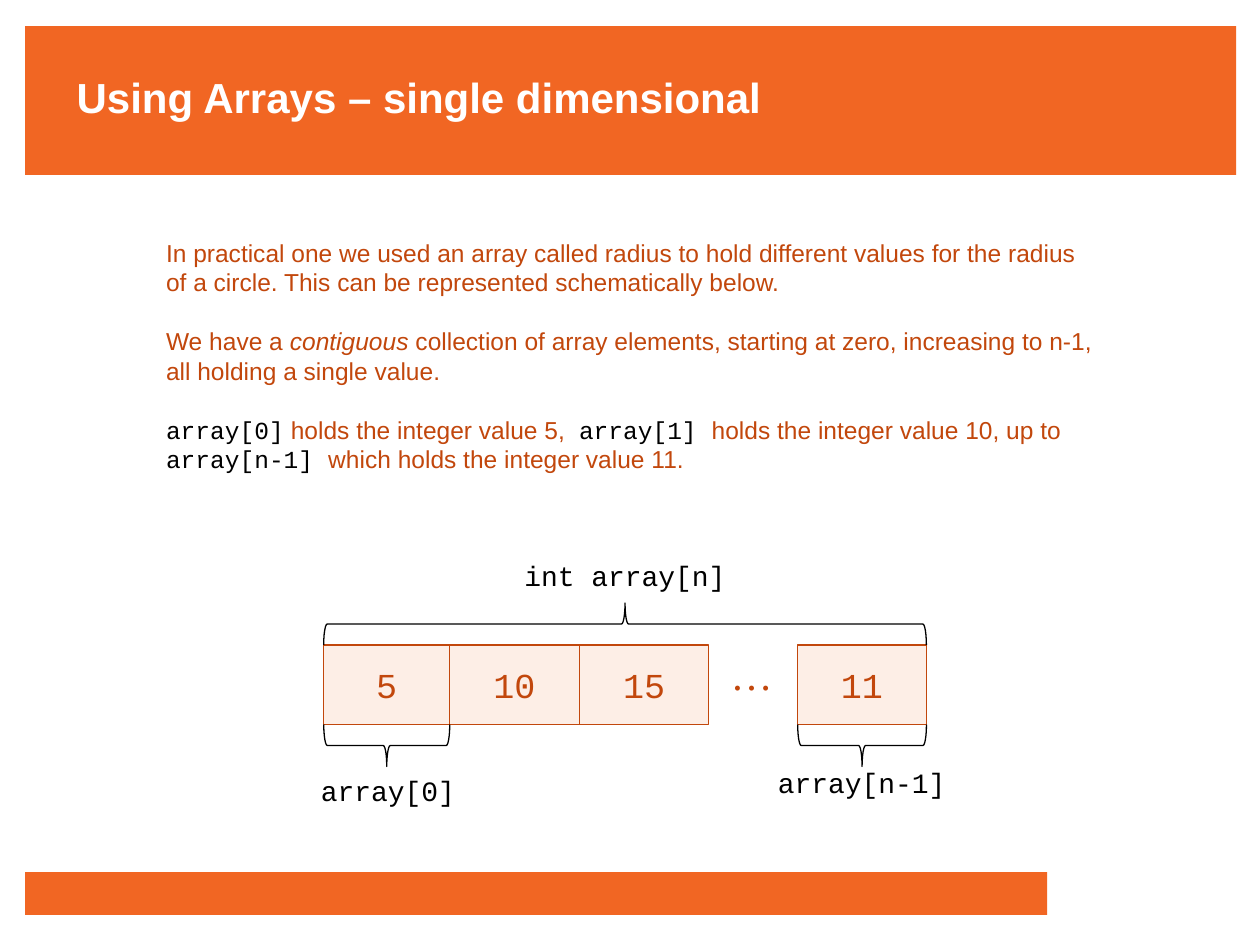
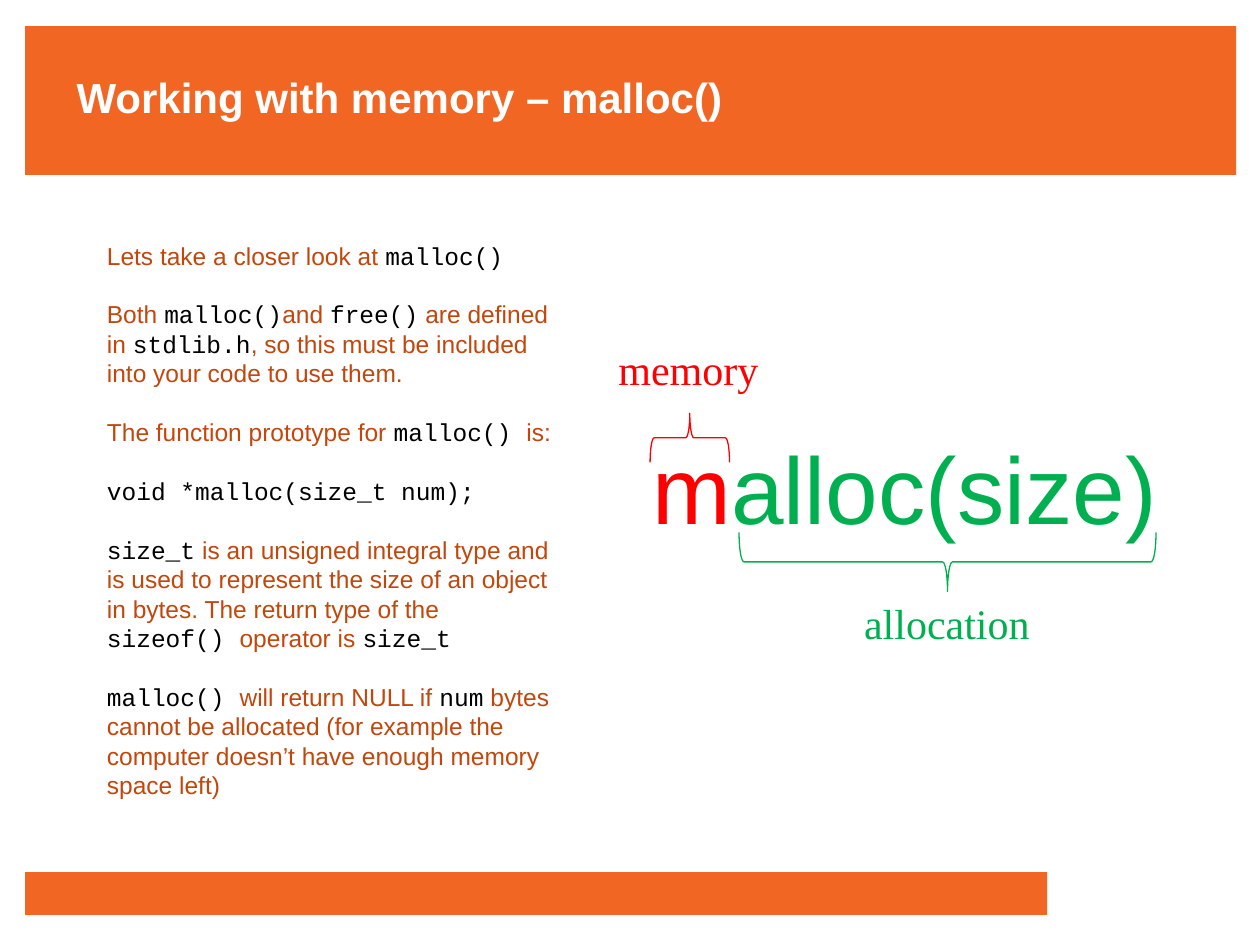
from lxml import etree
from pptx import Presentation
from pptx.dml.color import RGBColor
from pptx.enum.shapes import MSO_SHAPE as SHAPE
from pptx.enum.text import MSO_ANCHOR as ANCHOR, MSO_AUTO_SIZE as AUTO, PP_ALIGN as ALIGN
from pptx.oxml.ns import qn
from pptx.util import Pt

COLORS = {
    "band": "F16623", "title": "FFFFFF", "prose": "C2470C", "code": "000000",
    "cell": "F48753", "memory": "FF0000", "allocation": "00B050",
}
SANS, MONO, SERIF = "Arial", "Courier New", "Times New Roman"

STYLES = {
    "title": (SANS, 24, "title", True, False),
    "prose": (SANS, 14, "prose", False, False),
    "stress": (SANS, 14, "prose", False, True),
    "code": (MONO, 14, "code", False, False),
    "value": (MONO, 20, "prose", False, False),
    "label": (MONO, 16, "code", False, False),
    "dots": (SERIF, 24, "prose", False, False),
    "memory": (SERIF, 24, "memory", False, False),
    "allocation": (SERIF, 24, "allocation", False, False),
    "initial": (SANS, 54, "memory", False, False),
    "rest": (SANS, 54, "allocation", False, False),
}

BANDS = [(14.4, 15, 692, 85), (14.4, 498.4, 584, 24.5)]
TITLE_BOX = (36.7, 37.4, 556, 36)
LINE_PITCH = 16.8

ARRAYS = {
    "title": "Using Arrays – single dimensional",
    "box": (87.8, 132.5, 548.6, 177),
    "paragraphs": [
        [("prose", "In practical one we used an array called radius to hold different values "
                   "for the radius of a circle. This can be represented schematically below.")],
        [("prose", "We have a "), ("stress", "contiguous"),
         ("prose", " collection of array elements, starting at zero, increasing to n-1, "
                   "all holding a single value.")],
        [("code", "array[0]"), ("prose", " holds the integer value 5,  "),
         ("code", "array[1] "), ("prose", "holds the integer value 10, up to "),
         ("code", "array[n-1] "), ("prose", "which holds the integer value 11.")],
    ],
}

MALLOC = {
    "title": "Working with memory – malloc()",
    "box": (54, 134, 272.2, 330),
    "paragraphs": [
        [("prose", "Lets take a closer look at "), ("code", "malloc()")],
        [("prose", "Both "), ("code", "malloc()"), ("prose", "and "), ("code", "free()"),
         ("prose", " are defined in "), ("code", "stdlib.h"),
         ("prose", ", so this must be included into your code to use them.")],
        [("prose", "The function prototype for "), ("code", "malloc() "), ("prose", "is:")],
        [("code", "void *malloc(size_t num);")],
        [("code", "size_t"),
         ("prose", " is an unsigned integral type and is used to represent the size of an "
                   "object in bytes. The return type of the "),
         ("code", "sizeof() "), ("prose", "operator is "), ("code", "size_t")],
        [("code", "malloc() "), ("prose", "will return NULL if "), ("code", "num"),
         ("prose", " bytes cannot be allocated (for example the computer doesn’t have "
                   "enough memory space left)")],
    ],
}

CELLS = [("5", 185, 72), ("10", 257, 74), ("15", 331, 74), ("11", 455.8, 73.6)]
CELL_TOP, CELL_HEIGHT, BRACE_DEPTH = 368.6, 45.4, 24
ARRAY_LABELS = [
    ("label", "int array[n]", (291.6, 315.4, 131, 26.6)),
    ("label", "array[0]", (175.7, 438.5, 92, 26.6)),
    ("label", "array[n-1]", (436.6, 434.2, 111.6, 26.6)),
    ("dots", "…", (410.4, 367.2, 39, 36)),
]

WORD = [("initial", "m"), ("rest", "alloc(size)")]
WORD_BOX = (365.8, 242, 306, 72.7)
WORD_PARTS = [
    ("memory", (346.3, 193, 95, 36), (371.5, 236.2, 45.4, 28), True),
    ("allocation", (486.7, 337.7, 110.2, 36), (422.3, 304.2, 238.3, 33.8), False),
]


def rgb(name):
    return RGBColor.from_string(COLORS[name])


def points(box):
    return [Pt(length) for length in box]


def add_runs(paragraph, runs):
    for style, text in runs:
        face, size, color, bold, italic = STYLES[style]
        run = paragraph.add_run()
        run.text = text
        font = run.font
        font.name, font.size, font.bold, font.italic = face, Pt(size), bold, italic
        font.color.rgb = rgb(color)


def add_text(slide, box, paragraphs, wrap=True, align=ALIGN.LEFT, pitch=None):
    frame = slide.shapes.add_textbox(*points(box)).text_frame
    frame.word_wrap = wrap
    frame.auto_size = AUTO.SHAPE_TO_FIT_TEXT
    for index, runs in enumerate(paragraphs):
        paragraph = frame.add_paragraph() if index else frame.paragraphs[0]
        paragraph.alignment = align
        if pitch:
            paragraph.line_spacing = Pt(pitch)
            paragraph.space_before = Pt(pitch if index else 0)
        add_runs(paragraph, runs)


def add_block(slide, kind, box, fill=None, line=None):
    block = slide.shapes.add_shape(kind, *points(box))
    block.shadow.inherit = False
    if fill:
        block.fill.solid()
        block.fill.fore_color.rgb = rgb(fill)
    else:
        block.fill.background()
    if line:
        block.line.color.rgb = rgb(line)
        block.line.width = Pt(0.75)
    else:
        block.line.fill.background()
    return block


def add_brace(slide, box, color, points_up):
    left, top, span, depth = box
    upright = (left + (span - depth) / 2, top + (depth - span) / 2, depth, span)
    brace = add_block(slide, SHAPE.RIGHT_BRACE, upright, line=color)
    brace.rotation = 270 if points_up else 90


def add_cell(slide, value, left, width):
    cell = add_block(slide, SHAPE.RECTANGLE, (left, CELL_TOP, width, CELL_HEIGHT), "cell", "prose")
    tint = cell.fill._xPr.find(qn("a:solidFill"))[0]
    etree.SubElement(tint, qn("a:alpha")).set("val", "14000")
    cell.text_frame.vertical_anchor = ANCHOR.MIDDLE
    paragraph = cell.text_frame.paragraphs[0]
    paragraph.alignment = ALIGN.CENTER
    add_runs(paragraph, [("value", value)])


def add_page(deck, content):
    slide = deck.slides.add_slide(deck.slide_layouts[6])
    for band in BANDS:
        add_block(slide, SHAPE.RECTANGLE, band, "band")
    add_text(slide, TITLE_BOX, [[("title", content["title"])]])
    add_text(slide, content["box"], content["paragraphs"], pitch=LINE_PITCH)
    return slide


def draw_array(slide):
    for cell in CELLS:
        add_cell(slide, *cell)
    (_, first, first_width), (_, last, last_width) = CELLS[0], CELLS[-1]
    below = CELL_TOP + CELL_HEIGHT
    add_brace(slide, (first, below, first_width, BRACE_DEPTH), "code", False)
    add_brace(slide, (last, below, last_width, BRACE_DEPTH), "code", False)
    whole = last + last_width - first
    add_brace(slide, (first, CELL_TOP - BRACE_DEPTH, whole, BRACE_DEPTH), "code", True)
    for style, text, box in ARRAY_LABELS:
        align = ALIGN.CENTER if style == "label" else ALIGN.LEFT
        add_text(slide, box, [[(style, text)]], wrap=False, align=align)


def draw_word(slide):
    add_text(slide, WORD_BOX, [WORD])
    for part, label_box, brace_box, points_up in WORD_PARTS:
        add_brace(slide, brace_box, part, points_up)
        add_text(slide, label_box, [[(part, part)]], wrap=False)


def main():
    deck = Presentation()
    deck.slide_width, deck.slide_height = Pt(720), Pt(540)
    draw_array(add_page(deck, ARRAYS))
    draw_word(add_page(deck, MALLOC))
    deck.save("out.pptx")


if __name__ == "__main__":
    main()
